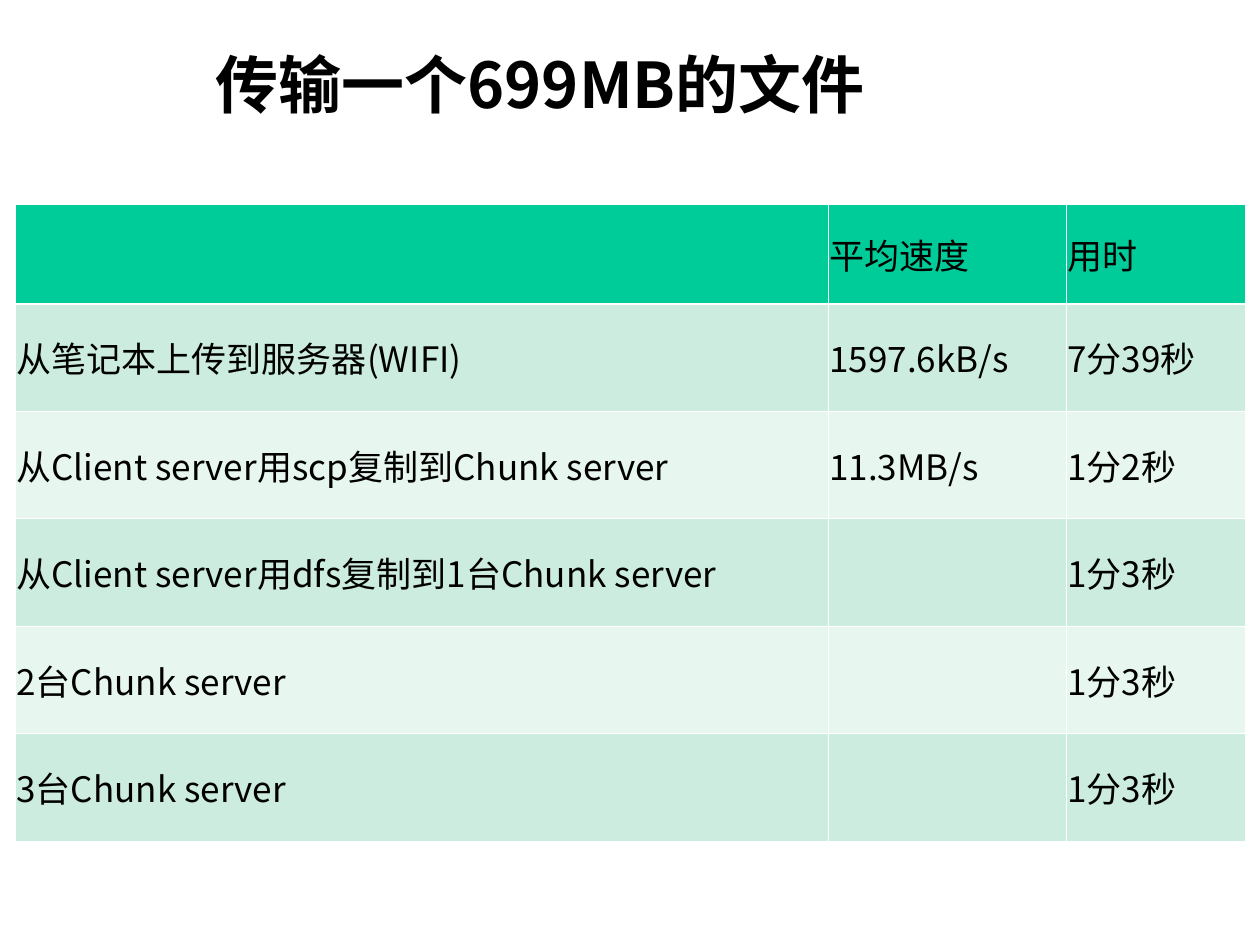
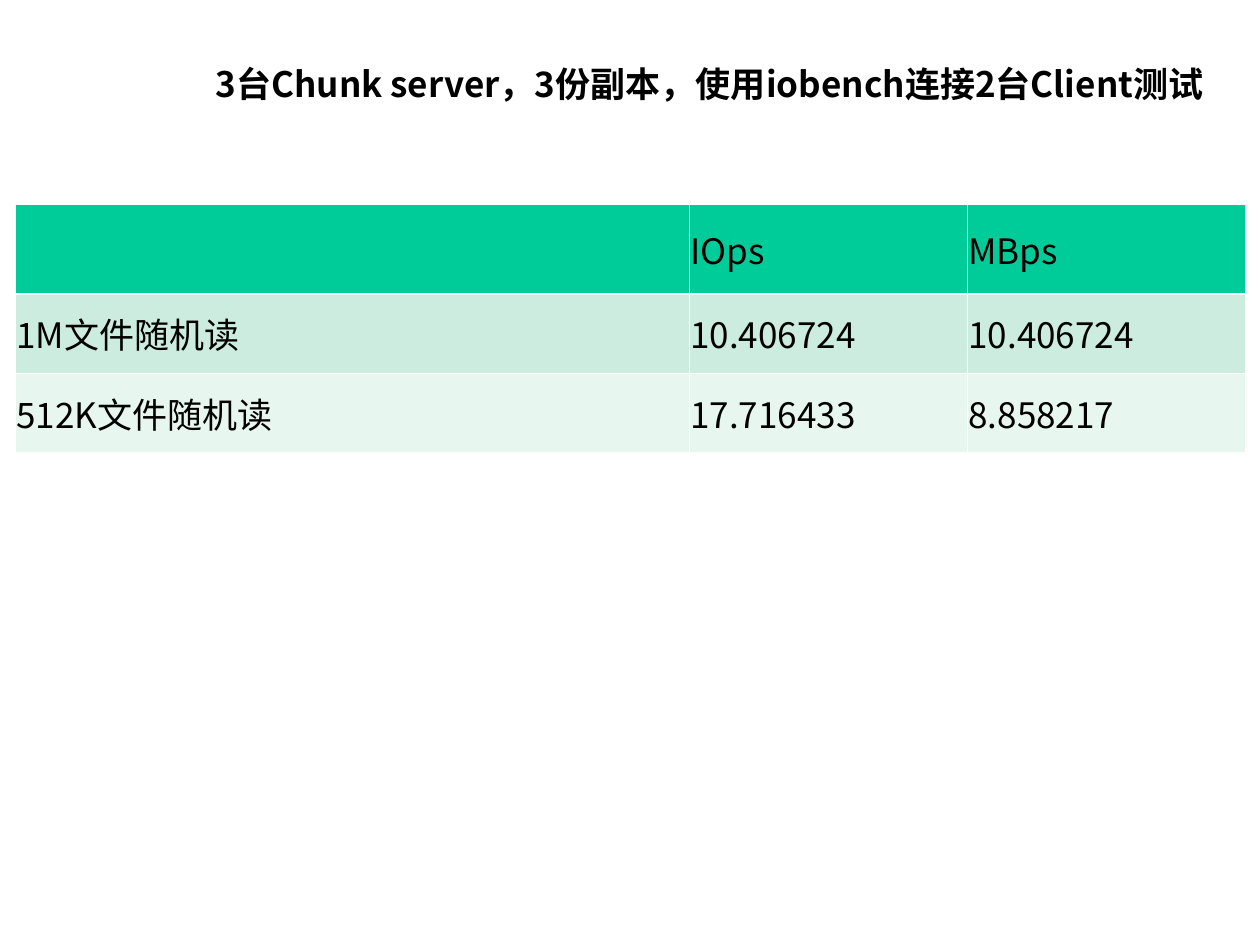
from pptx import Presentation
from pptx.dml.color import RGBColor
from pptx.enum.text import MSO_ANCHOR as Anchor, MSO_AUTO_SIZE as Fit, PP_ALIGN as Align
from pptx.oxml.ns import qn
from pptx.util import Pt
from lxml.etree import SubElement as Sub

# Shared look
FONT = "Noto Sans CJK SC"
BLACK = RGBColor(0x00, 0x00, 0x00)
WHITE = RGBColor(0xFF, 0xFF, 0xFF)
GREEN = RGBColor(0x00, 0xCC, 0x99)
BANDS = [RGBColor(0xE7, 0xF6, 0xEF), RGBColor(0xCB, 0xEC, 0xDE)]
THIN, THICK = Pt(0.45), Pt(1.47)
LEFT, TOP = Pt(9), Pt(117)

# Slide contents
FILES = [
    ["", "平均速度", "用时"],
    ["从笔记本上传到服务器(WIFI)", "1597.6kB/s", "7分39秒"],
    ["从Client server用scp复制到Chunk server", "11.3MB/s", "1分2秒"],
    ["从Client server用dfs复制到1台Chunk server", "", "1分3秒"],
    ["2台Chunk server", "", "1分3秒"],
    ["3台Chunk server", "", "1分3秒"],
]
READS = [
    ["", "IOps", "MBps"],
    ["1M文件随机读", "10.406724", "10.406724"],
    ["512K文件随机读", "17.716433", "8.858217"],
]


def style(para, size, bold=False):
    """Format every run of a paragraph."""
    for run in para.runs:
        font = run.font
        font.size, font.bold, font.name = Pt(size), bold, FONT
        font.color.rgb = BLACK
        Sub(font._element, qn("a:ea"), typeface=FONT)


def add_page(deck, title, size):
    """Add a title-only slide with its heading."""
    page = deck.slides.add_slide(deck.slide_layouts[5])
    head = page.shapes.title
    head.left, head.top, head.width, head.height = Pt(116), Pt(15), Pt(604), Pt(65)
    frame = head.text_frame
    frame.text = title
    frame.word_wrap = True
    frame.auto_size = Fit.TEXT_TO_FIT_SHAPE
    frame.vertical_anchor = Anchor.MIDDLE
    para = frame.paragraphs[0]
    para.alignment = Align.LEFT
    style(para, size, bold=True)
    return page


def add_edges(cell, row):
    """Draw white cell borders, thicker under the header row."""
    props = cell._tc.get_or_add_tcPr()
    widths = {
        "L": THIN,
        "R": THIN,
        "T": THICK if row == 1 else THIN,
        "B": THICK if row == 0 else THIN,
    }
    for side, width in widths.items():
        line = Sub(props, qn(f"a:ln{side}"), w=str(int(width)))
        Sub(Sub(line, qn("a:solidFill")), qn("a:srgbClr"), val=str(WHITE))


def fill_cell(cell, text, row):
    """Set the borders, fill and text of one cell."""
    add_edges(cell, row)
    cell.fill.solid()
    cell.fill.fore_color.rgb = BANDS[row % 2] if row else GREEN
    cell.margin_left = cell.margin_right = Pt(0.4)
    cell.margin_top = cell.margin_bottom = Pt(3.6)
    cell.vertical_anchor = Anchor.MIDDLE
    cell.text_frame.text = text
    style(cell.text_frame.paragraphs[0], 20)


def add_grid(page, data, widths, first, other):
    """Add a table with a header row and equal body rows."""
    heights = [first] + [other] * (len(data) - 1)
    table = page.shapes.add_table(
        len(data), len(widths), LEFT, TOP, Pt(sum(widths)), Pt(sum(heights))
    ).table
    for col, width in zip(table.columns, widths):
        col.width = Pt(width)
    for row, height in zip(table.rows, heights):
        row.height = Pt(height)
    for r, line in enumerate(data):
        for c, text in enumerate(line):
            fill_cell(table.cell(r, c), text, r)


def main():
    deck = Presentation()
    deck.slide_width, deck.slide_height = Pt(720), Pt(540)

    # File transfer times
    page = add_page(deck, "传输一个699MB的文件", 36)
    add_grid(page, FILES, [464.5, 136, 102], 56.5, 61.4)

    # Random read results
    page = add_page(deck, "3台Chunk server，3份副本，使用iobench连接2台Client测试", 20)
    add_grid(page, READS, [385, 159, 158.5], 51, 45.3)

    deck.save("out.pptx")


if __name__ == "__main__":
    main()
